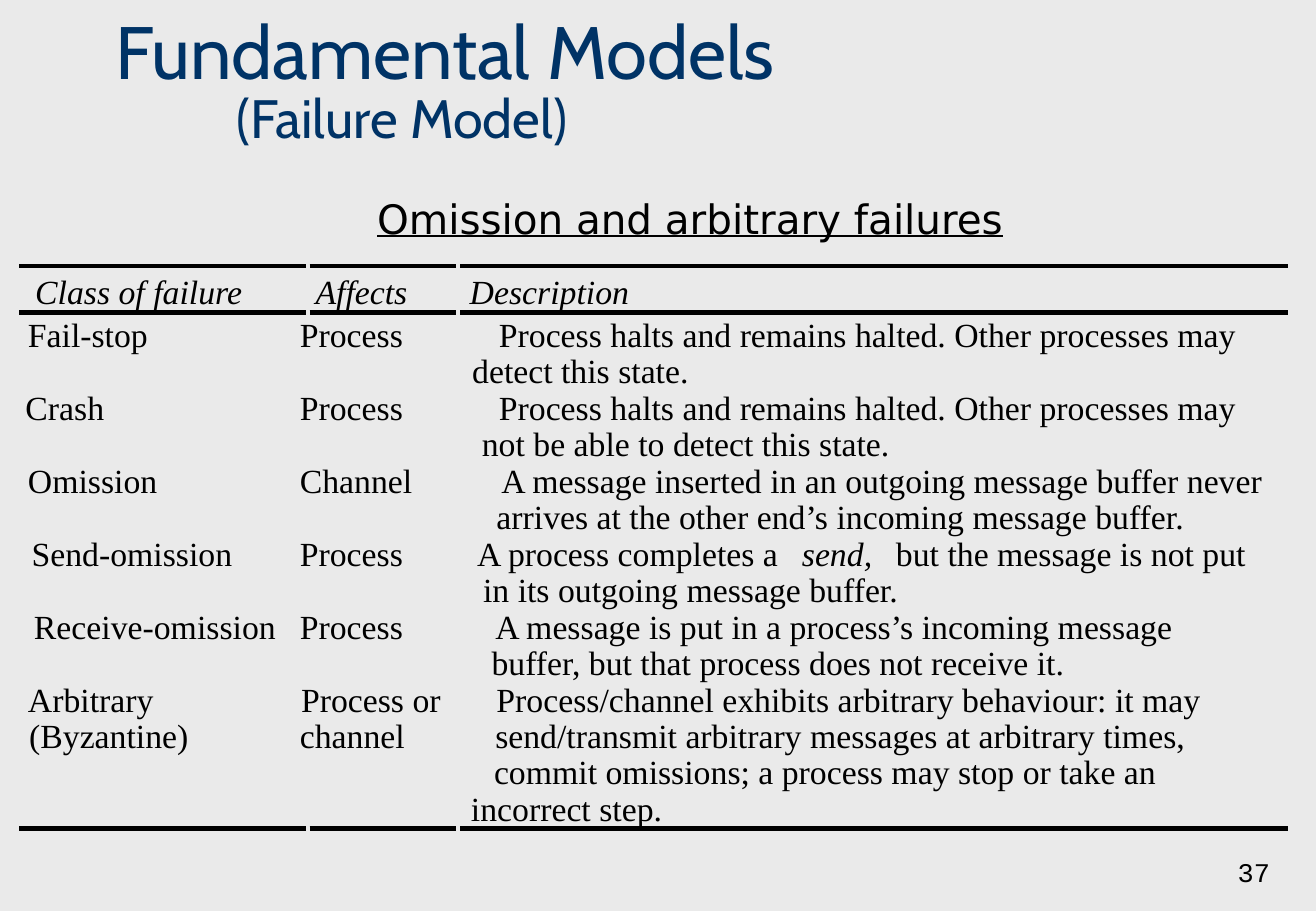
from dataclasses import dataclass
from lxml.etree import SubElement as Sub
from pptx import Presentation as Deck
from pptx.dml.color import RGBColor as Rgb
from pptx.enum.shapes import MSO_CONNECTOR as Link
from pptx.enum.text import MSO_ANCHOR as Anchor, MSO_AUTO_SIZE as Fit, PP_ALIGN as Align
from pptx.oxml.ns import qn
from pptx.util import Inches, Pt


@dataclass(frozen=True)
class Theme:
    back: Rgb = Rgb(0xEA, 0xEA, 0xEA)
    navy: Rgb = Rgb(0x00, 0x33, 0x66)
    ink: Rgb = Rgb(0, 0, 0)
    head: str = "Cabin"
    sub: str = "DejaVu Sans"
    body: str = "Times New Roman"
    mono: str = "Courier New"
    big: int = 44
    mid: int = 32
    sub_size: int = 24
    cell: int = 20
    page: int = 16
    rule: float = 2.86
    gap: int = 9  # extra width of the spaces around the italic word


THEME = Theme()

# Table geometry in inches
TOP, HEAD, PITCH = 2.27, 0.35, 0.3
EDGES = (0.16, 2.4, 3.79, 10.61)
RULES = (2.19, 2.57, 6.82)
SPANS = ((0.16, 2.52), (2.55, 3.76), (3.79, 10.61))
PLAIN = "{2D5ABB26-0587-4C30-8999-92F81FD0307C}"  # table style without grid

# Each cell is a list of lines: (left edge on the slide, text); *...* is italic
ROWS = [
    [[(0.29, "*Class of failure*")], [(2.6, "*Affects*")], [(3.87, "*Description*")]],
    [[(0.23, "Fail-stop")], [(2.47, "Process")],
     [(4.11, "Process halts and remains halted. Other processes may"),
      (3.89, "detect this state.")]],
    [[(0.21, "Crash")], [(2.47, "Process")],
     [(4.11, "Process halts and remains halted. Other processes may"),
      (3.97, "not be able to detect this state.")]],
    [[(0.23, "Omission")], [(2.47, "Channel")],
     [(4.13, "A message inserted in an outgoing message buffer never"),
      (4.09, "arrives at the other end’s incoming message buffer.")]],
    [[(0.26, "Send-omission")], [(2.47, "Process")],
     [(3.93, "A process completes a* *send,* *but the message is not put"),
      (3.98, "in its outgoing message buffer.")]],
    [[(0.28, "Receive-omission")], [(2.47, "Process")],
     [(4.08, "A message is put in a process’s incoming message"),
      (4.05, "buffer, but that process does not receive it.")]],
    [[(0.23, "Arbitrary"), (0.24, "(Byzantine)")],
     [(2.48, "Process or"), (2.47, "channel")],
     [(4.09, "Process/channel exhibits arbitrary behaviour: it may"),
      (4.08, "send/transmit arbitrary messages at arbitrary times,"),
      (4.07, "commit omissions; a process may stop or take an"),
      (3.88, "incorrect step.")]],
]
ITALIC = {"Class of failure", "Affects", "Description", "send,"}


def style(para, face, size, color):
    font = para.font
    font.name, font.color.rgb = face, color
    if size:
        font.size = Pt(size)


def add_title(slide):
    title = slide.shapes.title
    title.left, title.top = Inches(0.85), Inches(0.1)
    title.width, title.height = Inches(9.67), Inches(1.18)
    frame = title.text_frame
    frame.auto_size, frame.vertical_anchor = Fit.NONE, Anchor.BOTTOM
    para = frame.paragraphs[0]
    para.alignment, para.line_spacing = Align.LEFT, 0.85
    tabs = Sub(para._p.get_or_add_pPr(), qn("a:tabLst"))
    Sub(tabs, qn("a:tab"), pos=str(Inches(1)), algn="l")
    style(para, THEME.head, None, THEME.navy)
    first = para.add_run()
    first.text, first.font.size = "Fundamental Models", Pt(THEME.big)
    para.add_line_break()
    second = para.add_run()
    second.text, second.font.size = "\t(Failure Model)", Pt(THEME.mid)


def add_label(slide, text, box, face, size, align, anchor=Anchor.TOP):
    label = slide.shapes.add_textbox(*map(Inches, box))
    frame = label.text_frame
    frame.word_wrap, frame.vertical_anchor = True, anchor
    para = frame.paragraphs[0]
    para.text, para.alignment = text, align
    style(para, face, size, THEME.ink)
    return para


def fill_line(para, text, indent):
    para.line_spacing = Pt(PITCH * 72)
    para._p.get_or_add_pPr().set("indent", str(Inches(indent)))
    style(para, THEME.body, THEME.cell, THEME.ink)
    for part in filter(None, text.split("*")):
        run = para.add_run()
        run.text = part
        if part in ITALIC:
            run.font.italic = True
        elif part == " ":  # widened space
            run._r.get_or_add_rPr().set("spc", str(THEME.gap * 100))


def fill_cell(cell, lines, left):
    cell.fill.background()
    cell.margin_left = cell.margin_right = cell.margin_top = cell.margin_bottom = 0
    frame = cell.text_frame
    for spot, (edge, text) in enumerate(lines):
        para = frame.add_paragraph() if spot else frame.paragraphs[0]
        fill_line(para, text, edge - left)


def add_grid(slide):
    highs = [HEAD] + [PITCH * max(map(len, row)) for row in ROWS[1:]]
    box = (EDGES[0], TOP, EDGES[-1] - EDGES[0], sum(highs))
    shape = slide.shapes.add_table(len(ROWS), len(EDGES) - 1, *map(Inches, box))
    shape.element.find(".//" + qn("a:tableStyleId")).text = PLAIN
    table = shape.table
    table.horz_banding = False
    for col, left, right in zip(table.columns, EDGES, EDGES[1:]):
        col.width = Inches(right - left)
    for line, high, row in zip(table.rows, highs, ROWS):
        line.height = Inches(high)
        for cell, lines, left in zip(line.cells, row, EDGES):
            fill_cell(cell, lines, left)


def add_rule(slide, left, right, y):
    rule = slide.shapes.add_connector(Link.STRAIGHT, *map(Inches, (left, y, right, y)))
    rule.line.color.rgb, rule.line.width = THEME.ink, Pt(THEME.rule)
    Sub(rule.element.spPr, qn("a:effectLst"))


def main():
    deck = Deck()
    deck.slide_width, deck.slide_height = Inches(10.84), Inches(7.5)
    slide = deck.slides.add_slide(deck.slide_layouts[5])
    fill = slide.background.fill
    fill.solid()
    fill.fore_color.rgb = THEME.back

    # Headings
    add_title(slide)
    head = add_label(slide, "Omission and arbitrary failures", (2.33, 1.55, 6.71, 0.5),
                     THEME.sub, THEME.sub_size, Align.CENTER)
    head.space_before, head.font.underline = Pt(15), True

    # Failure table and its broken rules
    add_grid(slide)
    for y in RULES:
        for left, right in SPANS:
            add_rule(slide, left, right, y)

    # Page number
    add_label(slide, "37", (8.3, 6.86, 2.26, 0.5), THEME.mono, THEME.page,
              Align.RIGHT, Anchor.BOTTOM)
    deck.save("out.pptx")


main()
